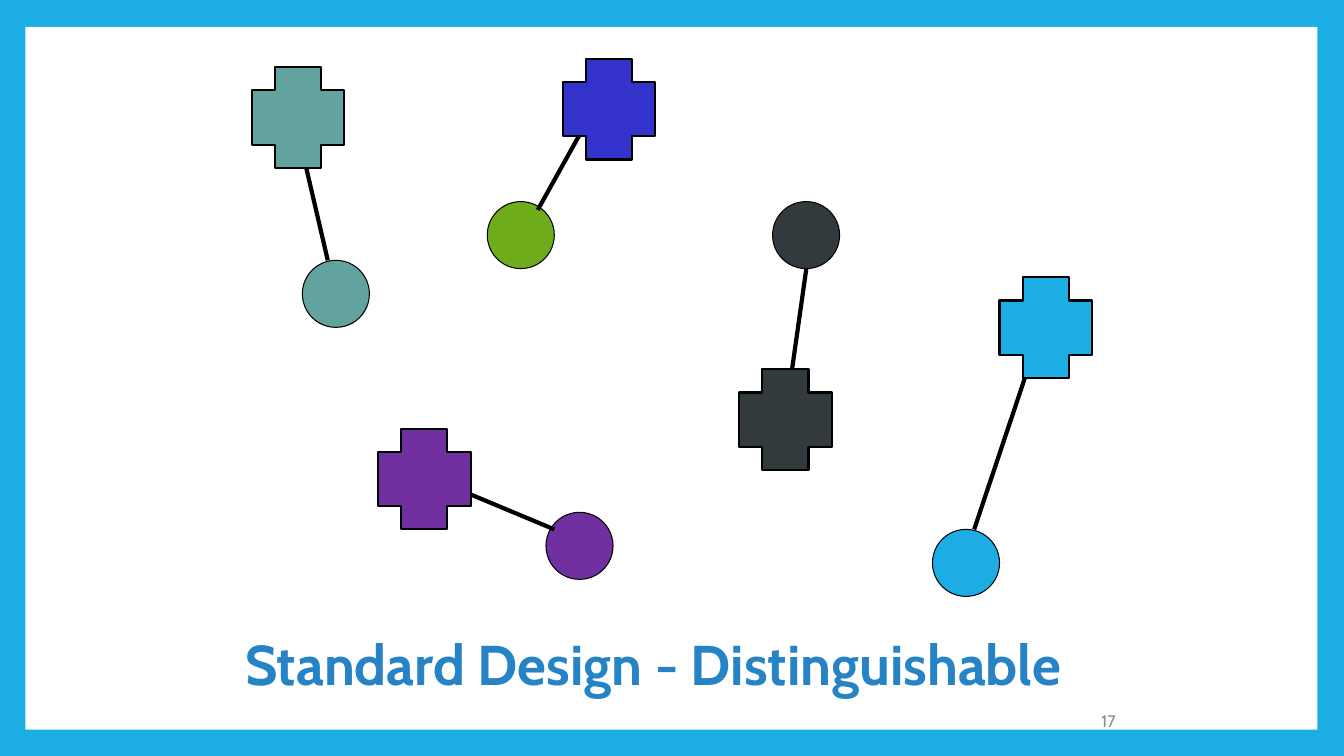
from lxml import etree
from pptx import Presentation
from pptx.dml.color import RGBColor
from pptx.enum.shapes import MSO_CONNECTOR, MSO_SHAPE
from pptx.enum.text import MSO_ANCHOR, PP_ALIGN
from pptx.oxml.ns import qn
from pptx.util import Cm, Pt

RECT, DISC, PLUS = MSO_SHAPE.RECTANGLE, MSO_SHAPE.OVAL, MSO_SHAPE.CROSS
LINE = MSO_CONNECTOR.STRAIGHT
MIDDLE = MSO_ANCHOR.MIDDLE
LEFT, RIGHT = PP_ALIGN.LEFT, PP_ALIGN.RIGHT

SKY = RGBColor(0x1C, 0xAD, 0xE4)
WHITE = RGBColor(0xFF, 0xFF, 0xFF)
BLACK = RGBColor(0, 0, 0)
TEAL = RGBColor(0x62, 0xA3, 0x9F)
GREEN = RGBColor(0x6E, 0xAC, 0x1C)
INDIGO = RGBColor(0x33, 0x33, 0xCC)
SLATE = RGBColor(0x33, 0x3A, 0x3E)
PURPLE = RGBColor(0x70, 0x30, 0xA0)
BLUE = RGBColor(0x26, 0x83, 0xC6)
GRAY = RGBColor(0x8C, 0x8C, 0x8C)

FONT = "Cabin"
DISC_SIZE = (1.69, 1.69)
PLUS_SIZE = (2.33, 2.54)

# Per pair, in cm: plus corner and colour, disc corner and colour, link ends
PAIRS = [
    ((6.35, 1.69), TEAL, (7.62, 6.56), TEAL, (7.62, 3.81), (8.26, 6.56)),
    ((14.18, 1.48), INDIGO, (12.28, 5.08), GREEN, (14.61, 3.39), (13.55, 5.29)),
    ((18.63, 9.31), SLATE, (19.47, 5.08), SLATE, (19.9, 9.74), (20.32, 6.77)),
    ((25.19, 6.99), SKY, (23.5, 13.34), SKY, (26.04, 8.89), (24.55, 13.34)),
    ((9.53, 10.8), PURPLE, (13.76, 12.91), PURPLE, (11.43, 12.28), (13.97, 13.34)),
]


def add_form(slide, kind, spot, size, color, weight=0):
    """Add a filled shape, outlined in black if weight is given."""
    form = slide.shapes.add_shape(kind, *map(Cm, spot + size))
    form.shadow.inherit = False
    form.fill.solid()
    form.fill.fore_color.rgb = color
    if weight:
        form.line.color.rgb = BLACK
        form.line.width = Pt(weight)
    else:
        form.line.fill.background()


def add_link(slide, start, end):
    link = slide.shapes.add_connector(LINE, *map(Cm, start + end))
    link.line.color.rgb = BLACK
    link.line.width = Pt(3)
    etree.SubElement(link._element.spPr, qn("a:effectLst"))


def add_pair(slide, plus, plus_color, disc, disc_color, start, end):
    """Add a disc, the link over it and the plus on top."""
    add_form(slide, DISC, disc, DISC_SIZE, disc_color, 0.75)
    add_link(slide, start, end)
    add_form(slide, PLUS, plus, PLUS_SIZE, plus_color, 1.5)


def add_label(slide, text, spot, size, points, color, align, bold=False):
    frame = slide.shapes.add_textbox(*map(Cm, spot + size)).text_frame
    frame.word_wrap = True
    frame.vertical_anchor = MIDDLE
    frame.text = text
    para = frame.paragraphs[0]
    para.alignment = align
    para.line_spacing = 0.9 if bold else 1.0
    font = para.runs[0].font
    font.name, font.size, font.bold = FONT, Pt(points), bold
    font.color.rgb = color


def main():
    deck = Presentation()
    deck.slide_width, deck.slide_height = Cm(33.87), Cm(19.05)
    slide = deck.slides.add_slide(deck.slide_layouts[6])
    back = slide.background.fill
    back.solid()
    back.fore_color.rgb = SKY
    add_form(slide, RECT, (0.64, 0.68), (32.56, 17.71), WHITE)
    for pair in PAIRS:
        add_pair(slide, *pair)
    add_label(slide, "Standard Design - Distinguishable", (5.93, 15.24),
              (21.59, 3.18), 40, BLUE, LEFT, bold=True)
    add_label(slide, "17", (22.44, 17.65), (5.93, 1.01), 12, GRAY, RIGHT)
    deck.save("out.pptx")


if __name__ == "__main__":
    main()
